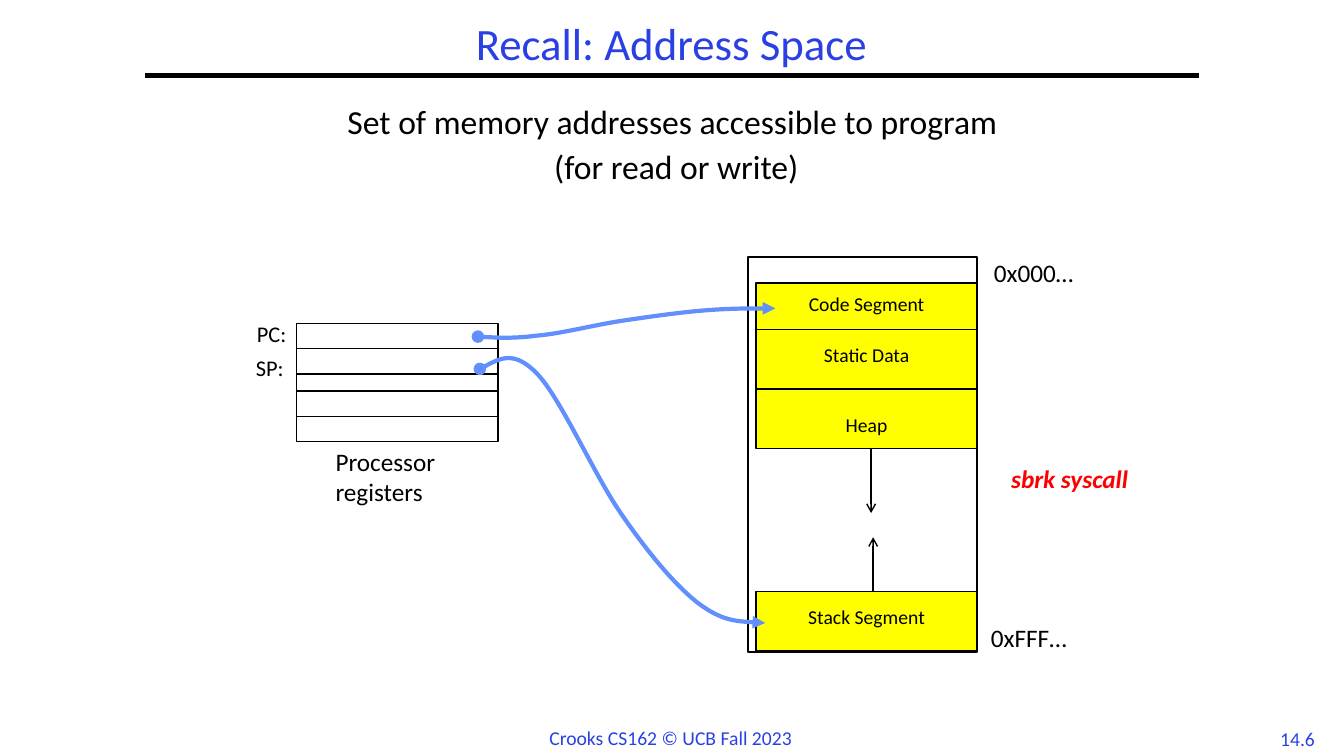
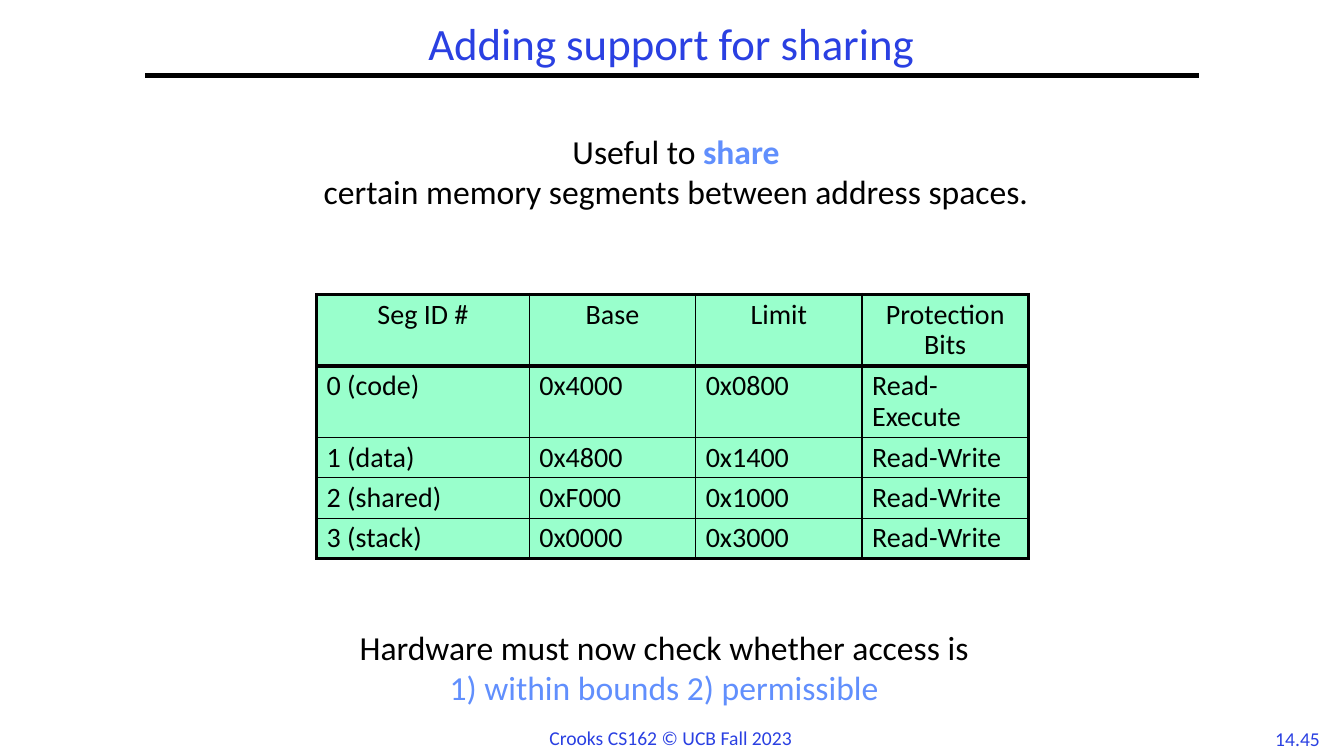
from dataclasses import dataclass

from lxml.etree import SubElement
from pptx import Presentation
from pptx.dml.color import RGBColor
from pptx.enum.shapes import MSO_CONNECTOR, MSO_SHAPE
from pptx.enum.text import MSO_ANCHOR, PP_ALIGN
from pptx.oxml.ns import qn
from pptx.util import Emu, Pt


@dataclass(frozen=True)
class Theme:
    font: str = "Calibri"
    black: str = "000000"
    title_blue: str = "2A40E2"
    accent: str = "618FFD"
    alert: str = "FF0000"
    segment_fill: str = "FFFF00"
    table_fill: str = "99FFCC"
    title_size: int = 32
    body_size: int = 24
    table_size: int = 20
    label_size: int = 18
    register_size: int = 16
    small_size: int = 14
    thin: float = 1
    frame: float = 2.25
    thick: float = 3


THEME = Theme()
PX = 9144  # 100 px to the inch
SLIDE_SIZE = (1333, 750)
CENTER = PP_ALIGN.CENTER

# Content: a run is (text, options)
FOOTER = "Crooks CS162 © UCB Fall 2023"

ADDRESS_TITLE, ADDRESS_NUMBER = "Recall: Address Space", "14.6"
ADDRESS_INTRO = [
    [("Set of memory addresses accessible to program", {})],
    [(" (for read or write)", {})],
]
REGISTER_FRAME = (294, 321, 200, 117)
REGISTER_ROWS = [(346, 25), (388, 25)]  # top, height
REGISTER_NAMES = [("PC:", (245, 313, 70, 37)), ("SP:", (244, 346, 70, 37))]
MEMORY_FRAME = (742, 255, 227, 392)
SEGMENT_LEFT, SEGMENT_WIDTH = 750, 219
SEGMENTS = [  # name, top, height, space above the text
    ("Code Segment", 281, 46, 9),
    ("Static Data", 327, 59, 13),
    ("Heap", 386, 59, 24),
    ("Stack Segment", 587, 59, 13),
]
DIAGRAM_LABELS = [
    (["Processor", "registers"], (323, 438, 154, 71), {}),
    (["0x000…"], (976, 250, 137, 40), {}),
    (["0xFFF…"], (973, 612, 130, 40), {}),
    (["sbrk syscall"], (993, 455, 195, 40),
     {"color": THEME.alert, "bold": True, "italic": True}),
]
GROWTH_ARROWS = [((864, 445), (864, 509)), ((866, 587), (866, 533))]
POINTERS = [  # start point, then two controls and an end for each Bézier piece
    [(474, 334),
     (491, 335), (509, 336), (533, 333),
     (557, 331), (591, 322), (619, 318),
     (646, 314), (674, 310), (699, 308),
     (724, 306), (747, 306), (769, 306)],
    [(476, 366),
     (493, 357), (510, 347), (533, 371),
     (556, 395), (589, 470), (615, 508),
     (641, 546), (668, 579), (692, 598),
     (716, 616), (737, 617), (759, 618)],
]

SHARING_TITLE, SHARING_NUMBER = "Adding support for sharing", "14.45"
SHARING_INTRO = [
    [("Useful to ", {}), ("share", {"color": THEME.accent, "bold": True})],
    [("certain memory segments between address spaces.", {})],
]
SHARING_CHECK = [
    [("Hardware must now check whether access is ", {})],
    [("1) within bounds 2) permissible ", {"color": THEME.accent})],
]
SEGMENT_TABLE = [
    ("Seg ID #", "Base", "Limit", "Protection Bits"),
    ("0 (code)", "0x4000", "0x0800", "Read-Execute"),
    ("1 (data)", "0x4800", "0x1400", "Read-Write"),
    ("2 (shared)", "0xF000", "0x1000", "Read-Write"),
    ("3 (stack)", "0x0000", "0x3000", "Read-Write"),
]
TABLE_CORNER = (314, 292)
COLUMN_WIDTHS = [211, 165, 165, 165]
ROW_HEIGHTS = [71, 71, 40, 40, 40]


def px(*lengths):
    return [Emu(length * PX) for length in lengths]


def rgb(color):
    return RGBColor.from_string(color)


def write(frame, paragraphs, size, color=THEME.black, align=PP_ALIGN.LEFT,
          line_spacing=None, gap=0):
    """Fill a text frame run by run; gap is the space between paragraphs."""
    for index, runs in enumerate(paragraphs):
        paragraph = frame.paragraphs[0] if index == 0 else frame.add_paragraph()
        paragraph.alignment = align
        if line_spacing:
            paragraph.line_spacing = line_spacing
        if index and gap:
            paragraph.space_before = Pt(gap)
        for text, options in runs:
            run = paragraph.add_run()
            run.text = text
            run.font.name = THEME.font
            run.font.size = Pt(size)
            run.font.bold = options.get("bold")
            run.font.italic = options.get("italic")
            run.font.color.rgb = rgb(options.get("color", color))


def add_text(slide, box, paragraphs, size, anchor=MSO_ANCHOR.TOP, **style):
    frame = slide.shapes.add_textbox(*px(*box)).text_frame
    frame.word_wrap = True
    frame.vertical_anchor = anchor
    write(frame, paragraphs, size, **style)


def add_box(slide, box, fill=None):
    shape = slide.shapes.add_shape(MSO_SHAPE.RECTANGLE, *px(*box))
    shape.shadow.inherit = False
    if fill:
        shape.fill.solid()
        shape.fill.fore_color.rgb = rgb(fill)
    else:
        shape.fill.background()
    style_line(shape, THEME.black, THEME.thin)
    return shape


def style_line(shape, color, width, head=None, tail=None):
    shape.line.color.rgb = rgb(color)
    shape.line.width = Pt(width)
    line = shape._element.spPr.find(qn("a:ln"))
    for tag, kind in (("a:headEnd", head), ("a:tailEnd", tail)):
        if kind:
            SubElement(line, qn(tag), type=kind)


def add_line(slide, start, end, width, tail=None):
    connector = slide.shapes.add_connector(
        MSO_CONNECTOR.STRAIGHT, *px(*start, *end))
    style_line(connector, THEME.black, width, tail=tail)
    SubElement(connector._element.spPr, qn("a:effectLst"))


def add_pointer(slide, points):
    builder = slide.shapes.build_freeform(*points[0], scale=PX)
    builder.add_line_segments(points[1:], close=False)
    shape = builder.convert_to_shape()
    shape.shadow.inherit = False
    shape.fill.background()
    style_line(shape, THEME.accent, THEME.thick, head="oval", tail="triangle")
    # Turn every three straight pieces into one Bézier piece
    outline = next(shape._element.iter(qn("a:path")))
    pieces = outline.findall(qn("a:lnTo"))
    for first in range(0, len(pieces), 3):
        curve = SubElement(outline, qn("a:cubicBezTo"))
        for piece in pieces[first:first + 3]:
            curve.append(piece[0])
            outline.remove(piece)


def set_borders(cell, widths):
    properties = cell._tc.get_or_add_tcPr()
    for index, (side, width) in enumerate(zip("LRTB", widths)):
        line = SubElement(properties, qn(f"a:ln{side}"), w=str(Pt(width)))
        fill = SubElement(line, qn("a:solidFill"))
        SubElement(fill, qn("a:srgbClr"), val=THEME.black)
        properties.insert(index, line)


def add_segment_table(slide):
    rows, columns = len(ROW_HEIGHTS), len(COLUMN_WIDTHS)
    box = (*TABLE_CORNER, sum(COLUMN_WIDTHS), sum(ROW_HEIGHTS))
    table = slide.shapes.add_table(rows, columns, *px(*box)).table
    table.first_row = table.horz_banding = False
    for column, width in zip(table.columns, px(*COLUMN_WIDTHS)):
        column.width = width
    for row, height in zip(table.rows, px(*ROW_HEIGHTS)):
        row.height = height

    # Line widths across and down: frame outside, thick under the header
    across = [THEME.frame, *[THEME.thin] * (columns - 1), THEME.frame]
    down = [THEME.frame, THEME.thick, *[THEME.thin] * (rows - 2), THEME.frame]
    for i, texts in enumerate(SEGMENT_TABLE):
        for j, text in enumerate(texts):
            cell = table.cell(i, j)
            cell.fill.solid()
            cell.fill.fore_color.rgb = rgb(THEME.table_fill)
            set_borders(cell, (*across[j:j + 2], *down[i:i + 2]))
            write(cell.text_frame, [[(text, {})]], THEME.table_size,
                  align=PP_ALIGN.LEFT if i else CENTER, line_spacing=0.9)


def add_base_slide(presentation, title, number):
    """Blank slide with the shared title, rule, footer and number."""
    slide = presentation.slides.add_slide(presentation.slide_layouts[6])
    add_text(slide, (1247, 716, 80, 33), [[(number, {})]], THEME.small_size,
             color=THEME.title_blue, align=CENTER)
    add_line(slide, (144, 75), (1189, 75), THEME.thick)
    add_text(slide, (535, 715, 280, 34), [[(FOOTER, {})]], THEME.small_size,
             color=THEME.title_blue)
    add_text(slide, (144, 17, 1044, 58), [[(title, {})]], THEME.title_size,
             anchor=MSO_ANCHOR.MIDDLE, color=THEME.title_blue, align=CENTER,
             line_spacing=0.9)
    return slide


def build_address_space(presentation):
    slide = add_base_slide(presentation, ADDRESS_TITLE, ADDRESS_NUMBER)
    add_text(slide, (89, 100, 1156, 100), ADDRESS_INTRO, THEME.body_size,
             align=CENTER, line_spacing=0.9, gap=6)

    # Processor registers
    add_box(slide, REGISTER_FRAME)
    left, _, width, _ = REGISTER_FRAME
    for top, height in REGISTER_ROWS:
        add_box(slide, (left, top, width, height))
    for name, box in REGISTER_NAMES:
        add_text(slide, box, [[(name, {})]], THEME.register_size)

    # Memory and its segments
    add_box(slide, MEMORY_FRAME)
    for name, top, height, space_above in SEGMENTS:
        segment = add_box(slide, (SEGMENT_LEFT, top, SEGMENT_WIDTH, height),
                          THEME.segment_fill)
        frame = segment.text_frame
        frame.vertical_anchor = MSO_ANCHOR.TOP
        frame.margin_top, frame.margin_bottom = px(space_above, 0)
        write(frame, [[(name, {})]], THEME.small_size, align=CENTER)

    # Labels, growth arrows and register pointers
    for lines, box, options in DIAGRAM_LABELS:
        add_text(slide, box, [[(line, options)] for line in lines],
                 THEME.label_size)
    for start, end in GROWTH_ARROWS:
        add_line(slide, start, end, THEME.thin, tail="arrow")
    for points in POINTERS:
        add_pointer(slide, points)


def build_sharing(presentation):
    slide = add_base_slide(presentation, SHARING_TITLE, SHARING_NUMBER)
    add_segment_table(slide)
    for box, paragraphs in (((8, 125, 1325, 91), SHARING_INTRO),
                            ((0, 617, 1325, 91), SHARING_CHECK)):
        add_text(slide, box, paragraphs, THEME.body_size, align=CENTER)


def main():
    presentation = Presentation()
    presentation.slide_width, presentation.slide_height = px(*SLIDE_SIZE)
    build_address_space(presentation)
    build_sharing(presentation)
    presentation.save("out.pptx")


if __name__ == "__main__":
    main()
